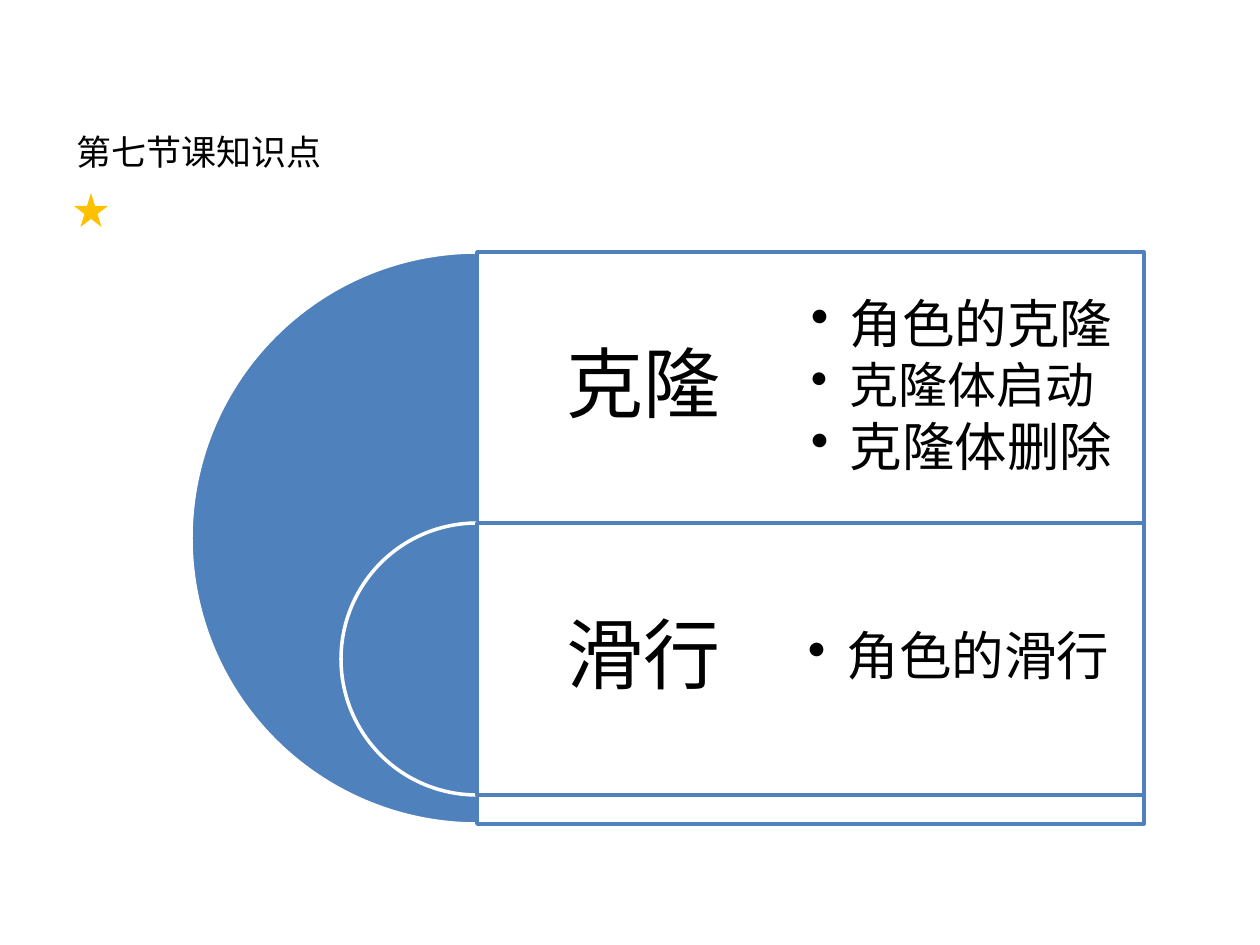
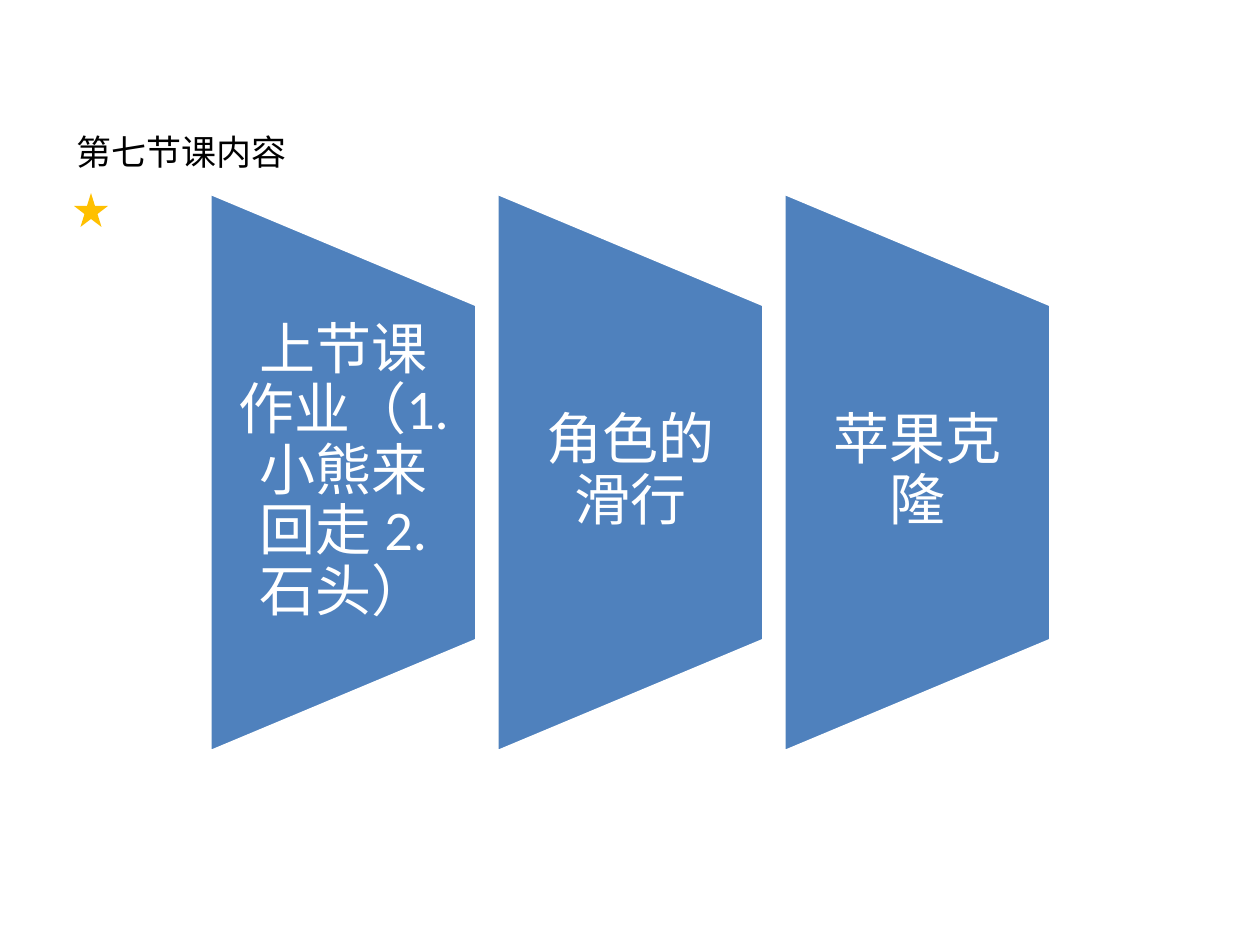
from dataclasses import dataclass

from lxml import etree
from pptx import Presentation
from pptx.dml.color import RGBColor
from pptx.enum.lang import MSO_LANGUAGE_ID
from pptx.enum.shapes import MSO_SHAPE
from pptx.enum.text import MSO_ANCHOR, MSO_AUTO_SIZE, PP_ALIGN
from pptx.oxml.ns import qn
from pptx.shapes.autoshape import Shape
from pptx.slide import Slide
from pptx.util import Emu, Pt

STAR = MSO_SHAPE.STAR_5_POINT
PIE = MSO_SHAPE.PIE
RECTANGLE = MSO_SHAPE.RECTANGLE
TRAPEZOID = MSO_SHAPE.FLOWCHART_MANUAL_OPERATION
CENTER, LEFT = PP_ALIGN.CENTER, PP_ALIGN.LEFT
MIDDLE = MSO_ANCHOR.MIDDLE
FIT_SHAPE = MSO_AUTO_SIZE.SHAPE_TO_FIT_TEXT
CHINESE = MSO_LANGUAGE_ID.SIMPLIFIED_CHINESE

EMU_PER_PX = 914400 / 126
COLORS = {"black": "000000", "white": "FFFFFF", "blue": "4F81BD", "gold": "FFC000"}
TITLE_FONT = "Noto Sans CJK SC"
BODY_FONT = "Calibri"

PANEL_LEFT, PANEL_WIDTH, LABEL_WIDTH = 477, 667, 334
TOPIC_HEIGHT = 272
BULLET_INDENT = 39
COLUMN_LEFT, COLUMN_PITCH, COLUMN_WIDTH = 210, 287, 267
COLUMN_TOP, COLUMN_HEIGHT = 193, 559
COLUMN_TEXT_HEIGHT = 336


@dataclass(frozen=True)
class Box:
    left: int
    top: int
    width: int
    height: int

    def emu(self) -> tuple[Emu, ...]:
        return tuple(px(side) for side in (self.left, self.top, self.width, self.height))


@dataclass(frozen=True)
class Topic:
    name: str
    top: int
    panel_height: int
    details_left: int
    details_width: int
    details: tuple[tuple[str, int], ...]


TOPICS = (
    Topic("克隆", 252, 572, 777, 401,
          (("角色的克隆", 30), ("克隆体启动", 28), ("克隆体删除", 30))),
    Topic("滑行", 523, 272, 774, 408, (("角色的滑行", 30),)),
)
LESSON_STEPS = ("上节课作业（1.小熊来回走 2.石头）", "角色的滑行", "苹果克隆")


def px(length: int) -> Emu:
    return Emu(round(length * EMU_PER_PX))


def rgb(name: str) -> RGBColor:
    return RGBColor.from_string(COLORS[name])


def add_filled(slide: Slide, kind: MSO_SHAPE, box: Box, fill: str, line: str = "") -> Shape:
    shape = slide.shapes.add_shape(kind, *box.emu())
    shape.shadow.inherit = False
    shape.fill.solid()
    shape.fill.fore_color.rgb = rgb(fill)
    if line:
        shape.line.color.rgb = rgb(line)
        shape.line.width = Pt(2)
    else:
        shape.line.fill.background()
    return shape


def add_text(slide: Slide, box: Box, lines: tuple[tuple[str, int], ...], color: str,
             insets: tuple[int, int], align: PP_ALIGN = CENTER) -> Shape:
    shape = slide.shapes.add_textbox(*box.emu())
    frame = shape.text_frame
    frame.word_wrap = True
    frame.vertical_anchor = MIDDLE
    frame.margin_left = frame.margin_right = px(insets[0])
    frame.margin_top = frame.margin_bottom = px(insets[1])
    frame.text = "\n".join(text for text, _ in lines)
    for paragraph, (_, size) in zip(frame.paragraphs, lines):
        paragraph.alignment = align
        paragraph.line_spacing = 0.9
        font = paragraph.runs[0].font
        font.name = BODY_FONT
        font.size = Pt(size)
        font.color.rgb = rgb(color)
        font.language_id = CHINESE
    return shape


def add_bullets(shape: Shape) -> None:
    for paragraph in shape.text_frame.paragraphs:
        paragraph.level = 1
        paragraph.space_after = Pt(4)
        properties = paragraph._p.get_or_add_pPr()
        properties.set("marL", str(px(BULLET_INDENT)))
        properties.set("indent", str(-px(BULLET_INDENT)))
        etree.SubElement(properties, qn("a:buChar")).set("char", "•")


def add_heading(slide: Slide, title: str, width: int) -> None:
    frame = slide.shapes.add_textbox(*Box(64, 124, width, 55).emu()).text_frame
    frame.word_wrap = False
    frame.auto_size = FIT_SHAPE
    frame.text = title
    font = frame.paragraphs[0].runs[0].font
    font.name = TITLE_FONT
    font.size = Pt(20)
    font.color.rgb = rgb("black")
    font.language_id = CHINESE
    add_filled(slide, STAR, Box(74, 193, 34, 34), "gold")


def add_topic_panel(slide: Slide, topic: Topic) -> None:
    diameter = topic.panel_height
    pie_box = Box(PANEL_LEFT - diameter // 2, topic.top, diameter, diameter)
    pie = add_filled(slide, PIE, pie_box, "blue", "white")
    pie.adjustments[0] = 54
    pie.adjustments[1] = 162
    panel_box = Box(PANEL_LEFT, topic.top, PANEL_WIDTH, topic.panel_height)
    panel = add_filled(slide, RECTANGLE, panel_box, "white", "blue")
    color = panel._element.spPr.find(qn("a:solidFill"))[0]
    etree.SubElement(color, qn("a:alpha")).set("val", "90000")
    label_box = Box(PANEL_LEFT, topic.top, LABEL_WIDTH, TOPIC_HEIGHT)
    add_text(slide, label_box, ((topic.name, 44),), "black", (23, 23))


def add_topic_details(slide: Slide, topic: Topic) -> None:
    box = Box(topic.details_left, topic.top, topic.details_width, TOPIC_HEIGHT)
    add_bullets(add_text(slide, box, topic.details, "black", (34, 34), LEFT))


def add_lesson_step(slide: Slide, index: int, step: str) -> None:
    left = COLUMN_LEFT + index * COLUMN_PITCH
    overhang = (COLUMN_HEIGHT - COLUMN_WIDTH) // 2
    unrotated = Box(left - overhang, COLUMN_TOP + overhang, COLUMN_HEIGHT, COLUMN_WIDTH)
    add_filled(slide, TRAPEZOID, unrotated, "blue", "white").rotation = 270
    text_top = COLUMN_TOP + (COLUMN_HEIGHT - COLUMN_TEXT_HEIGHT) // 2
    text_box = Box(left, text_top, COLUMN_WIDTH, COLUMN_TEXT_HEIGHT)
    add_text(slide, text_box, ((step, 32),), "white", (28, 0))


def main() -> None:
    presentation = Presentation()
    presentation.slide_width = px(1260)
    presentation.slide_height = px(945)
    blank = presentation.slide_layouts[6]

    knowledge = presentation.slides.add_slide(blank)
    add_heading(knowledge, "第七节课知识点", 273)
    for topic in TOPICS:
        add_topic_panel(knowledge, topic)
    for topic in TOPICS:
        add_topic_details(knowledge, topic)

    content = presentation.slides.add_slide(blank)
    add_heading(content, "第七节课内容", 237)
    for index, step in enumerate(LESSON_STEPS):
        add_lesson_step(content, index, step)

    presentation.save("out.pptx")


if __name__ == "__main__":
    main()
